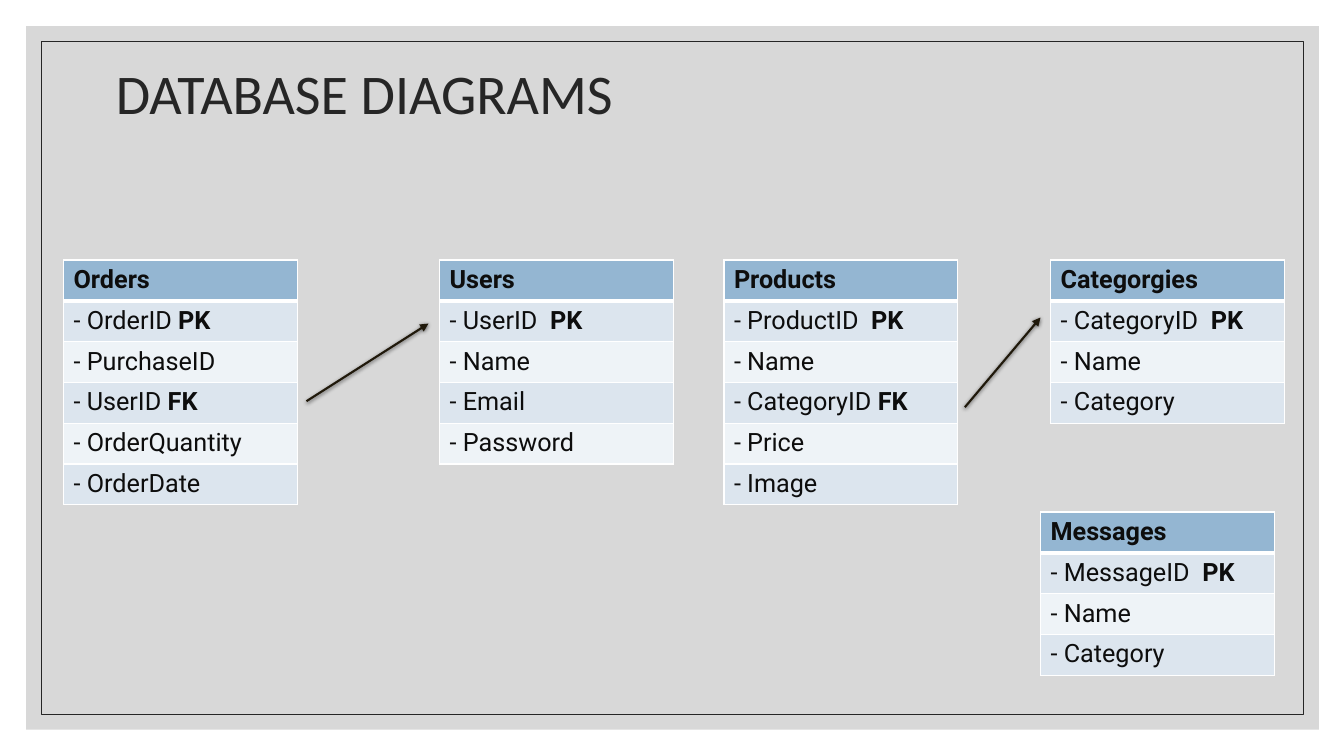
"""Build the database diagrams slide with its entity tables and key arrows."""
import lxml.etree
import pptx
import pptx.dml.color
import pptx.enum.shapes
import pptx.enum.text
import pptx.oxml.ns
import pptx.util

Inches = pptx.util.Inches
Pt = pptx.util.Pt
COLORS = {
    "panel": "BFBFBF", "frame": "262626", "title": "262626", "ink": "0D0D0D",
    "header": "94B6D2", "odd": "DCE5EE", "even": "EEF3F7",
    "border": "FFFFFF", "arrow": "20190B", "shadow": "000000",
}


def rgb(name):
    return pptx.dml.color.RGBColor.from_string(COLORS[name])


def add_xml(parent, tag, **attributes):
    return lxml.etree.SubElement(parent, pptx.oxml.ns.qn(tag), attributes)


deck = pptx.Presentation()
deck.slide_width, deck.slide_height = Inches(13.33), Inches(7.5)
slide = deck.slides.add_slide(deck.slide_layouts[6])
rectangle = pptx.enum.shapes.MSO_SHAPE.RECTANGLE

panel = slide.shapes.add_shape(rectangle, Inches(0.26), Inches(0.26), Inches(12.82), Inches(6.98))
panel.shadow.inherit = False
panel.fill.solid()
panel.fill.fore_color.rgb = rgb("panel")
panel.line.fill.background()
panel_color = panel.fill._xPr.find(".//" + pptx.oxml.ns.qn("a:srgbClr"))
add_xml(panel_color, "a:alpha", val="60000")

frame = slide.shapes.add_shape(rectangle, Inches(0.41), Inches(0.41), Inches(12.52), Inches(6.68))
frame.shadow.inherit = False
frame.fill.background()
frame.line.color.rgb = rgb("frame")
frame.line.width = Pt(0.5)

title = slide.shapes.add_textbox(Inches(1.05), Inches(0.21), Inches(11), Inches(1.5))
title.text_frame.word_wrap = True
title.text_frame.vertical_anchor = pptx.enum.text.MSO_ANCHOR.MIDDLE
title.text_frame.text = "DATABASE DIAGRAMS"
heading = title.text_frame.paragraphs[0]
heading.line_spacing = 0.9
heading.runs[0].font.name = "Calibri"
heading.runs[0].font.size = Pt(40)
heading.runs[0].font.color.rgb = rgb("title")

ENTITIES = [
    (0.63, 2.58, ["Orders", "- OrderID PK", "- PurchaseID", "- UserID FK",
                  "- OrderQuantity", "- OrderDate"]),
    (7.18, 2.58, ["Products", "- ProductID  PK", "- Name", "- CategoryID FK",
                  "- Price", "- Image"]),
    (4.36, 2.58, ["Users", "- UserID  PK", "- Name", "- Email", "- Password"]),
    (10.42, 2.58, ["Categorgies", "- CategoryID  PK", "- Name", "- Category"]),
    (10.32, 5.08, ["Messages", "- MessageID  PK", "- Name", "- Category"]),
]
ROW_HEIGHT = Inches(2.43) // 6

for left, top, fields in ENTITIES:
    entity = slide.shapes.add_table(
        len(fields), 1, Inches(left), Inches(top), Inches(2.32), ROW_HEIGHT * len(fields)).table
    for row, field in enumerate(fields):
        cell = entity.cell(row, 0)
        paragraph = cell.text_frame.paragraphs[0]
        key = field[-2:] if field.endswith(("PK", "FK")) else ""
        for text, bold in ((field.removesuffix(key), row == 0), (key, True)):
            if text:
                run = paragraph.add_run()
                run.text = text
                run.font.name = "Roboto"
                run.font.size = Pt(18)
                run.font.bold = bold
                run.font.color.rgb = rgb("ink")
        properties = cell._tc.get_or_add_tcPr()
        for side in ("L", "R", "T", "B"):
            under_header = (row, side) in ((0, "B"), (1, "T"))
            border = add_xml(properties, "a:ln" + side, w=str(Pt(3 if under_header else 1)))
            add_xml(add_xml(border, "a:solidFill"), "a:srgbClr", val=COLORS["border"])
        cell.fill.solid()
        cell.fill.fore_color.rgb = rgb("header" if row == 0 else "odd" if row % 2 else "even")

FOREIGN_KEYS = [(3.04, 3.98, 4.25, 3.21), (9.57, 4.04, 10.32, 3.15)]

for ends in FOREIGN_KEYS:
    arrow = slide.shapes.add_connector(
        pptx.enum.shapes.MSO_CONNECTOR.STRAIGHT, *(Inches(end) for end in ends))
    arrow.line.color.rgb = rgb("arrow")
    arrow.line.width = Pt(1.5)
    add_xml(arrow.line._get_or_add_ln(), "a:tailEnd", type="triangle")
    effects = add_xml(arrow._element.spPr, "a:effectLst")
    shadow = add_xml(effects, "a:outerShdw", blurRad=str(Pt(3)), dist=str(Pt(1)),
                     dir="5400000", rotWithShape="0")
    add_xml(add_xml(shadow, "a:srgbClr", val=COLORS["shadow"]), "a:alpha", val="63000")

deck.save("out.pptx")
